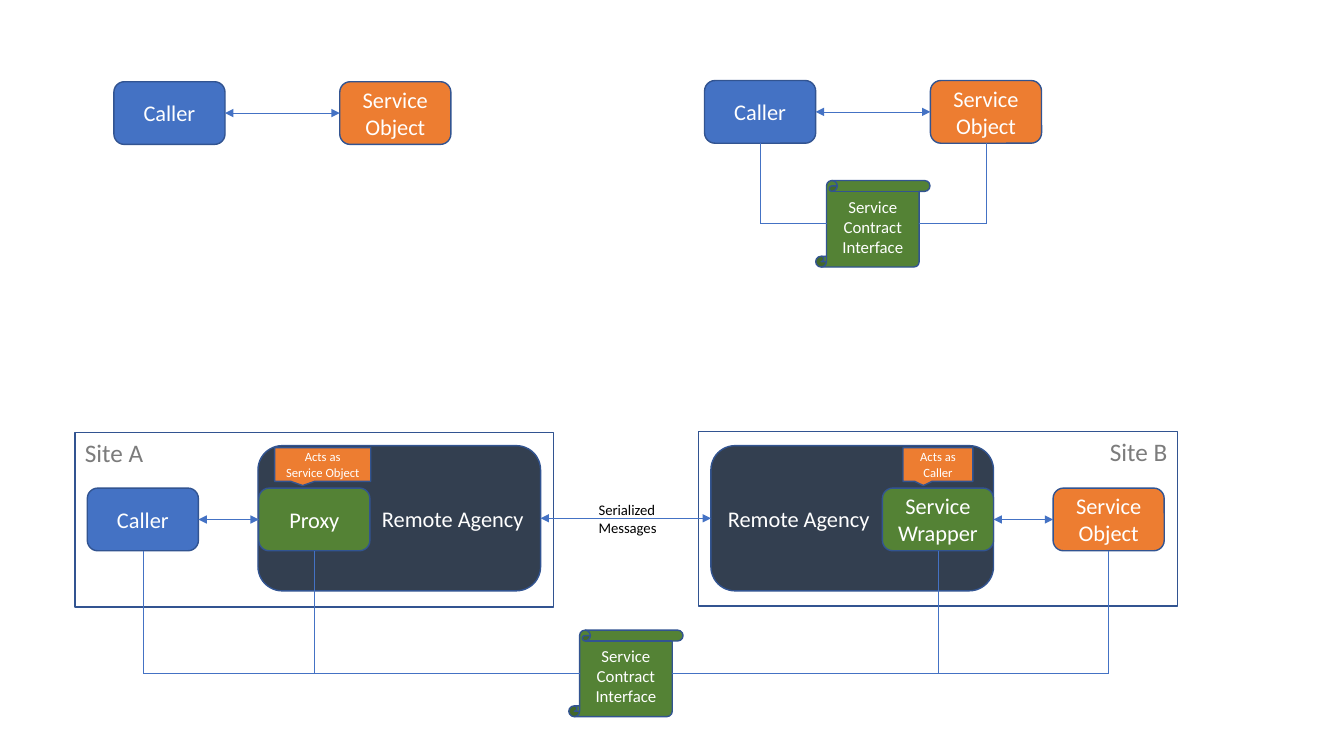
from lxml import etree
from pptx import Presentation
from pptx import util as u
from pptx.dml import color
from pptx.enum import shapes, text
from pptx.oxml import ns

Cm = u.Cm
KIND = shapes.MSO_SHAPE
ALIGN = text.PP_ALIGN
FONT = "Calibri"
HEX = {
    "blue": "4472C4",
    "orange": "ED7D31",
    "green": "548235",
    "navy": "333F50",
    "edge": "325491",
    "white": "FFFFFF",
    "gray": "7C7C7C",
    "black": "000000",
}
TOP, LEFT, BOTTOM, RIGHT = range(4)


def rgb(name):
    return color.RGBColor.from_string(HEX[name])


def write(shape, words, size, ink, align=ALIGN.CENTER, anchor=text.MSO_ANCHOR.MIDDLE):
    frame = shape.text_frame
    frame.word_wrap = True
    frame.vertical_anchor = anchor
    frame.text = words
    para = frame.paragraphs[0]
    para.alignment = align
    for run in para.runs:
        run.font.name = FONT
        run.font.size = u.Pt(size)
        run.font.color.rgb = rgb(ink)


def block(slide, kind, x, y, w, h, fill):
    shape = slide.shapes.add_shape(kind, Cm(x), Cm(y), Cm(w), Cm(h))
    shape.shadow.inherit = False
    if fill:
        shape.fill.solid()
        shape.fill.fore_color.rgb = rgb(fill)
    else:
        shape.fill.background()
    shape.line.color.rgb = rgb("edge")
    shape.line.width = u.Pt(1)
    return shape


def box(slide, words, x, y, fill):
    shape = block(slide, KIND.ROUNDED_RECTANGLE, x, y, 2.8, 1.58, fill)
    write(shape, words, 16, "white")
    return shape


def agency(slide, x, align):
    shape = block(slide, KIND.ROUNDED_RECTANGLE, x, 11.23, 7.12, 3.66, "navy")
    write(shape, "Remote Agency", 16, "white", align)
    return shape


def callout(slide, words, x, w):
    shape = block(slide, KIND.RECTANGULAR_CALLOUT, x, 11.28, w, 0.85, "orange")
    write(shape, words, 9, "white")


def site(slide, words, x, y, align):
    shape = block(slide, KIND.RECTANGLE, x, y, 12.06, 4.4, None)
    write(shape, words, 18, "gray", align, text.MSO_ANCHOR.TOP)


def line(slide, x1, y1, x2, y2):
    wire = slide.shapes.add_connector(shapes.MSO_CONNECTOR.STRAIGHT, x1, y1, x2, y2)
    wire.line.color.rgb = rgb("blue")
    wire.line.width = u.Pt(0.5)
    etree.SubElement(wire._element.spPr, ns.qn("a:effectLst"))
    return wire


def link(slide, a, b):
    """Double arrow from the right side of a to the left side of b."""
    y = a.top + a.height // 2
    wire = line(slide, a.left + a.width, y, b.left, y)
    wire.begin_connect(a, RIGHT)
    wire.end_connect(b, LEFT)
    ln = wire.line._get_or_add_ln()
    for end in ("a:headEnd", "a:tailEnd"):
        etree.SubElement(ln, ns.qn(end)).set("type", "triangle")


def contract(slide, x, y, boxes):
    """Scroll whose rail meets a drop from each box."""
    scroll = block(slide, KIND.VERTICAL_SCROLL, x, y, 2.88, 2.18, "green")
    write(scroll, "Service Contract Interface", 12, "white")
    rail = scroll.top + scroll.height // 2
    curl = scroll.height // 8
    mids = [b.left + b.width // 2 for b in boxes]
    for part, mid in zip(boxes, mids):
        drop = line(slide, mid, part.top + part.height, mid, rail)
        drop.begin_connect(part, BOTTOM)
    line(slide, scroll.left + curl, rail, mids[0], rail)
    line(slide, mids[-1], rail, scroll.left + scroll.width - curl, rail)


def pair(slide, x, y):
    """Caller linked straight to its service object."""
    user = box(slide, "Caller", x, y, "blue")
    goal = box(slide, "Service Object", x + 5.69, y, "orange")
    link(slide, user, goal)
    return user, goal


def label(slide, words, x, y, w, h):
    shape = slide.shapes.add_textbox(Cm(x), Cm(y), Cm(w), Cm(h))
    write(shape, words, 10.5, "black", ALIGN.LEFT, text.MSO_ANCHOR.TOP)
    shape.text_frame.word_wrap = False
    shape.text_frame.auto_size = text.MSO_AUTO_SIZE.SHAPE_TO_FIT_TEXT


def main():
    deck = Presentation()
    deck.slide_width, deck.slide_height = u.Inches(13.33), u.Inches(7.5)
    slide = deck.slides.add_slide(deck.slide_layouts[6])

    # Direct call, without and with a contract
    pair(slide, 2.87, 2.06)
    contract(slide, 20.55, 4.55, pair(slide, 17.75, 2.03))

    # Remote call: agencies and their parts
    near = agency(slide, 6.5, ALIGN.RIGHT)
    far = agency(slide, 17.91, ALIGN.LEFT)
    row = [
        box(slide, words, x, 12.3, fill)
        for words, x, fill in (
            ("Caller", 2.2, "blue"),
            ("Proxy", 6.52, "green"),
            ("Service Wrapper", 22.23, "green"),
            ("Service Object", 26.53, "orange"),
        )
    ]
    callout(slide, "Acts as\vService Object", 6.92, 2.42)
    callout(slide, "Acts as\vCaller", 22.75, 1.76)

    # Sites
    site(slide, "Site A", 1.89, 10.9, ALIGN.LEFT)
    site(slide, "Site B", 17.6, 10.87, ALIGN.RIGHT)

    # Message flow and shared contract
    for a, b in (row[:2], row[2:], (near, far)):
        link(slide, a, b)
    label(slide, "Serialized\vMessages", 14.83, 12.5, 2.06, 1.19)
    contract(slide, 14.33, 15.88, row)

    deck.save("out.pptx")


if __name__ == "__main__":
    main()
